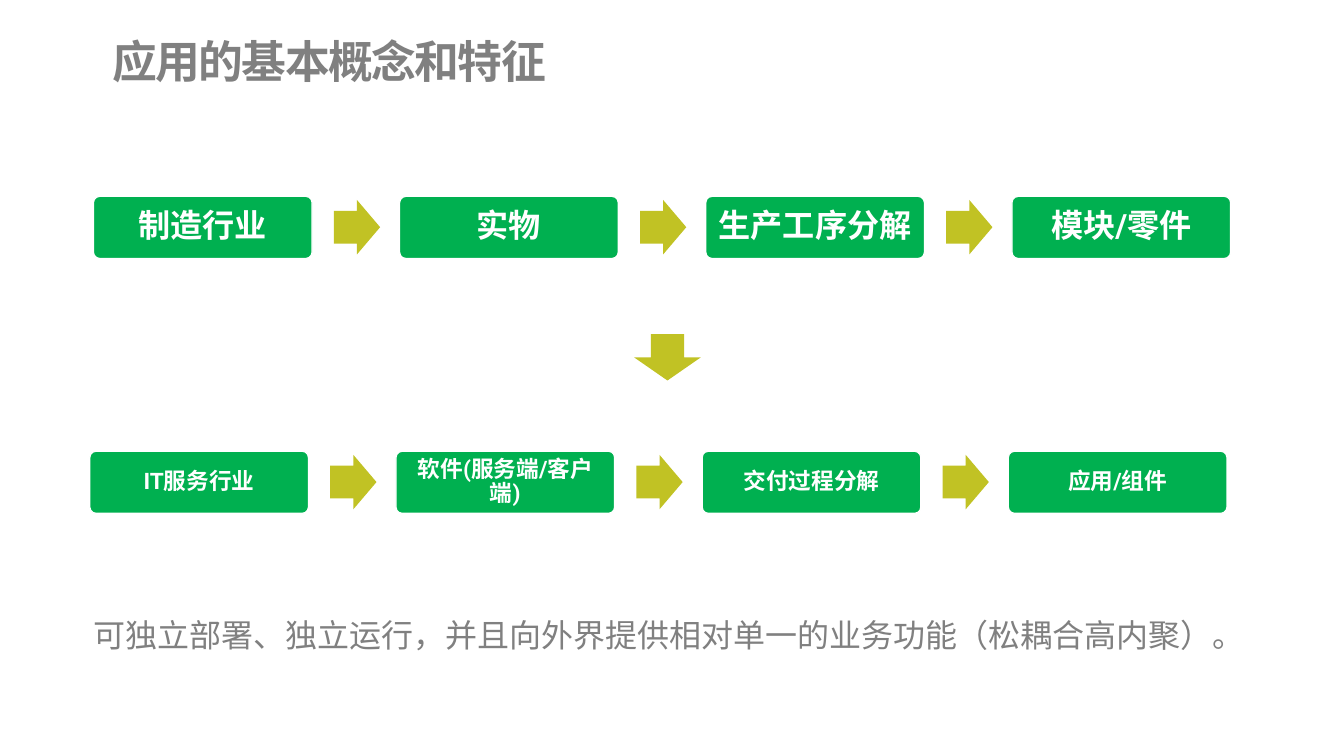
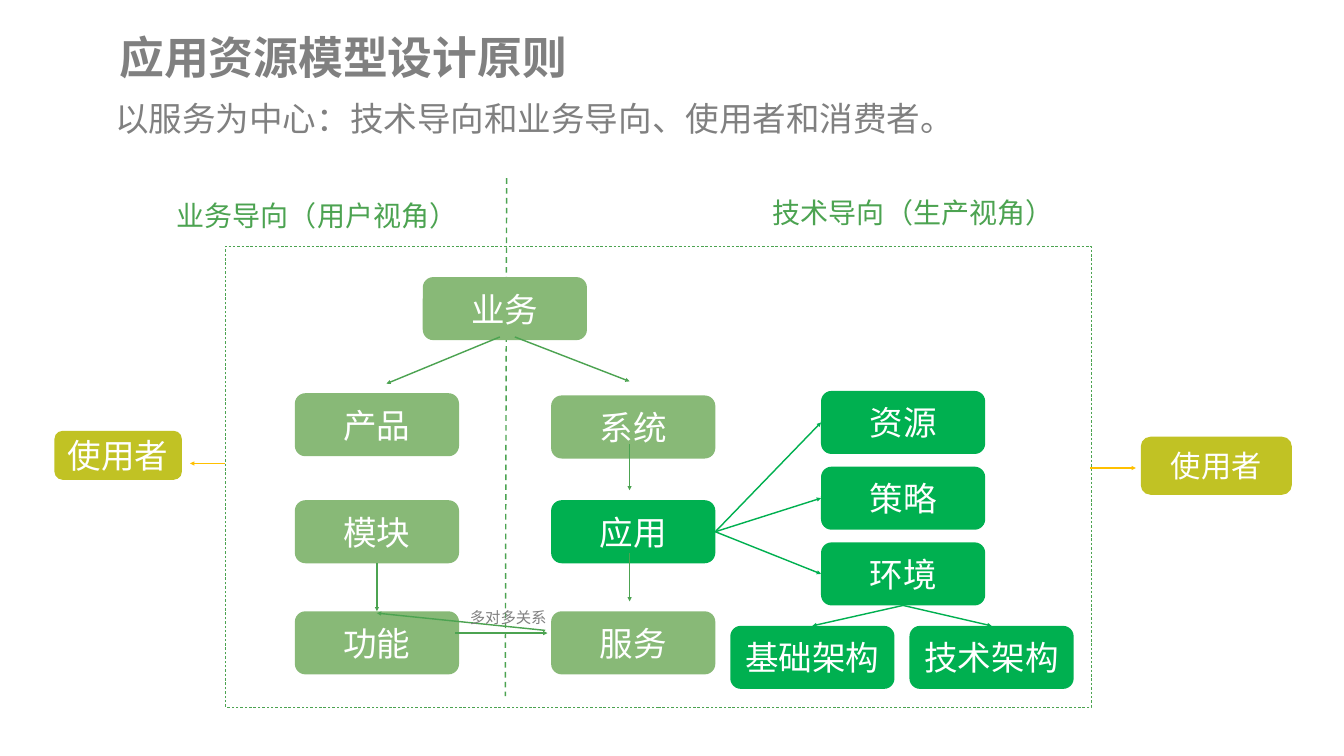
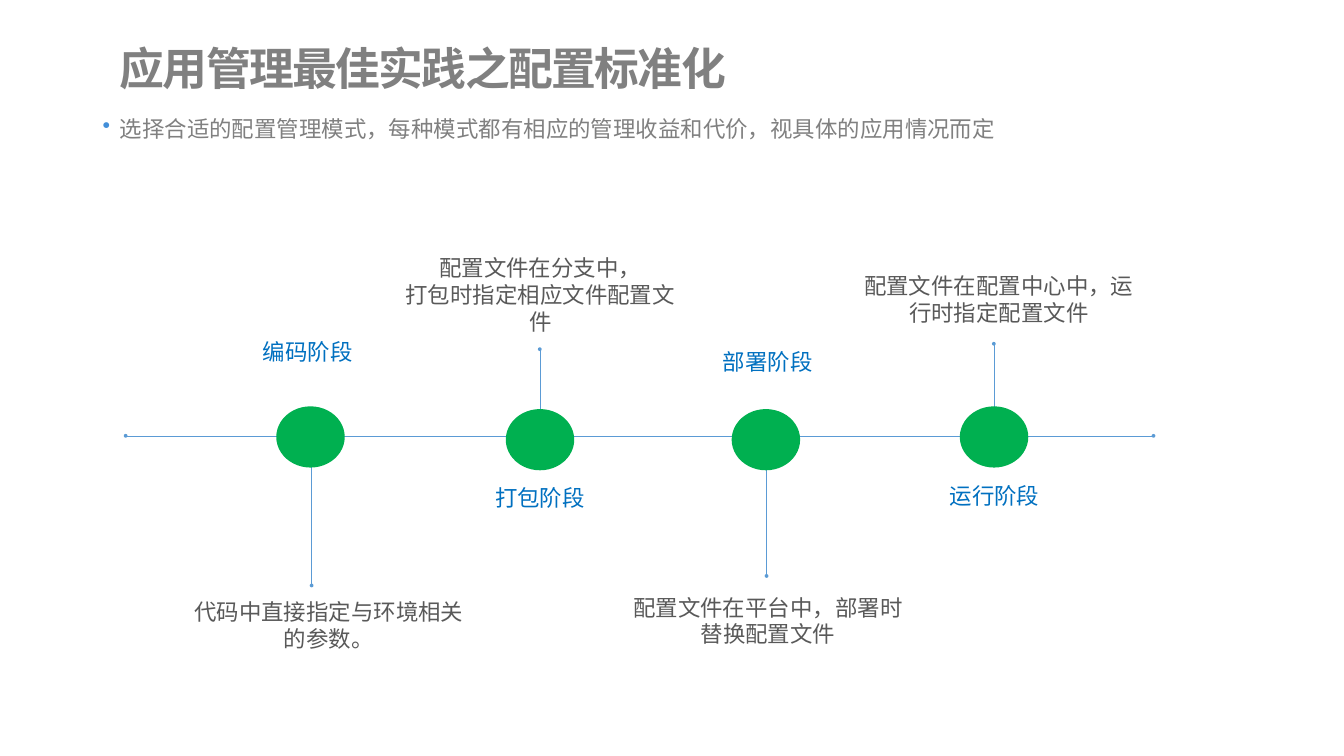
from lxml.etree import SubElement
from pptx import Presentation
from pptx.dml.color import RGBColor
from pptx.enum.dml import MSO_LINE as Dash
from pptx.enum.shapes import MSO_CONNECTOR as Link, MSO_SHAPE as Shape
from pptx.enum.text import MSO_ANCHOR as Anchor, MSO_AUTO_SIZE as Fit, PP_ALIGN as Align
from pptx.oxml.ns import qn
from pptx.util import Inches, Pt

GREEN, SAGE, OLIVE, LEAF = "00B050", "88B977", "C1C224", "4CA351"
GREY, DARK, BLUE, SKY, AMBER, WHITE = "808080", "595959", "0070C0", "5B9BD5", "FFC000", "FFFFFF"
TOP, LEFT, BOTTOM, RIGHT = range(4)


def color(value):
    return RGBColor.from_string(value)


def apply(target, values):
    """Set every attribute named in values on target."""
    for name, value in values.items():
        setattr(target, name, value)


class Deck:
    """Holds the shared style and the slide being filled."""

    font_name = "Noto Sans"

    def __init__(self, width, height):
        self.file = Presentation()
        apply(self.file, {"slide_width": Inches(width), "slide_height": Inches(height)})
        self.page = None

    def new_page(self, title, left, top, width, spacing=None):
        self.page = self.file.slides.add_slide(self.file.slide_layouts[6])
        self.text(title, left, top, width, 1.52, size=71.1, bold=True, align=Align.LEFT,
                  anchor=Anchor.MIDDLE, inset=(0.3, 0.15), spacing=spacing)

    def fill_text(self, box, text, size, ink, bold=False, align=Align.CENTER,
                  anchor=Anchor.MIDDLE, inset=(0.1, 0.05), wrap=True, font=None,
                  line_spacing=None, spacing=None, bullet=None, indent=0):
        """Fill a box with text, one paragraph for each line."""
        frame = box.text_frame
        side, edge = map(Inches, inset)
        apply(frame, {"word_wrap": wrap, "vertical_anchor": anchor, "margin_left": side,
                      "margin_right": side, "margin_top": edge, "margin_bottom": edge})
        for number, line in enumerate(text.split("\n")):
            para = frame.add_paragraph() if number else frame.paragraphs[0]
            apply(para, {"alignment": align, "line_spacing": line_spacing})
            if bullet:
                self.add_bullet(para, bullet, indent)
            span = para.add_run()
            span.text = line
            apply(span.font, {"size": Pt(size), "bold": bold, "name": font or self.font_name})
            span.font.color.rgb = color(ink)
            props = span.font._element
            SubElement(props, qn("a:ea")).set("typeface", font or self.font_name)
            if spacing:
                props.set("spc", str(int(spacing * 100)))

    def add_bullet(self, para, ink, indent):
        props = para._p.get_or_add_pPr()
        props.set("marL", str(Inches(indent)))
        props.set("indent", str(-Inches(indent)))
        SubElement(SubElement(props, qn("a:buClr")), qn("a:srgbClr")).set("val", ink)
        SubElement(props, qn("a:buChar")).set("char", "•")

    def text(self, text, left, top, width, height, size, ink=GREY, align=Align.LEFT,
             anchor=Anchor.TOP, **style):
        box = self.page.shapes.add_textbox(*map(Inches, (left, top, width, height)))
        self.fill_text(box, text, size, ink, align=align, anchor=anchor, **style)
        box.text_frame.auto_size = Fit.SHAPE_TO_FIT_TEXT

    def shape(self, kind, left, top, width, height, fill=None, line=None, line_width=1,
              dash=None, adjust=(), text=None, size=53.3, **style):
        box = self.page.shapes.add_shape(kind, *map(Inches, (left, top, width, height)))
        box.shadow.inherit = False
        for number, value in enumerate(adjust):
            box.adjustments[number] = value
        if fill:
            box.fill.solid()
            box.fill.fore_color.rgb = color(fill)
        else:
            box.fill.background()
        if line:
            box.line.color.rgb = color(line)
            apply(box.line, {"width": Pt(line_width), "dash_style": dash})
        else:
            box.line.fill.background()
        if text:
            self.fill_text(box, text, size, WHITE, **style)
        return box

    def line(self, start, end, ink, width=2.25, dash=None, head=None, tail=None):
        """Draw a line; each end is a point or a pair of box and side."""
        joined = not isinstance(start[0], (int, float))
        points = (0, 0, 0, 0) if joined else (*start, *end)
        link = self.page.shapes.add_connector(Link.STRAIGHT, *map(Inches, points))
        if joined:
            link.begin_connect(*start)
            link.end_connect(*end)
        link.line.color.rgb = color(ink)
        apply(link.line, {"width": Pt(width), "dash_style": dash})
        outline = link.line._get_or_add_ln()
        for tag, kind in (("a:headEnd", head), ("a:tailEnd", tail)):
            if kind:
                SubElement(outline, qn(tag)).set("type", kind)
        SubElement(link._element.spPr, qn("a:effectLst"))

    def arrow(self, start, end, ink=LEAF):
        self.line(start, end, ink, tail="triangle")

    def process_row(self, steps, left, top, size, inset):
        """Draw equal boxes with a block arrow in each gap."""
        pitch = 6.75
        for number, step in enumerate(steps):
            x = left + number * pitch
            if number:
                self.shape(Shape.RIGHT_ARROW, x - 1.45, top + 0.08, 1.02, 1.2, OLIVE,
                           adjust=(0.6, 0.5))
            self.shape(Shape.ROUNDED_RECTANGLE, x, top, 4.82, 1.37, GREEN, WHITE, 2,
                       adjust=(0.1,), text=step, size=size, bold=True, font="Roboto",
                       inset=(inset, inset), line_spacing=0.9)

    def node(self, text, left, top, fill, width=3.62, height=1.39, size=53.3):
        return self.shape(Shape.ROUNDED_RECTANGLE, left, top, width, height, fill,
                          text=text, size=size)


def concept_page(deck):
    deck.new_page("应用的基本概念和特征", 2.18, 0.58, 11.03, spacing=-2.5)
    deck.process_row(["制造行业", "实物", "生产工序分解", "模块/零件"], 2.06, 4.33, 51, 0.21)
    deck.process_row(["IT服务行业", "软件(服务端/客户端)", "交付过程分解", "应用/组件"],
                     1.98, 9.95, 36, 0.15)
    deck.text("可独立部署、独立运行，并且向外界提供相对单一的业务功能（松耦合高内聚）。",
              1.97, 13.53, 26.47, 0.97, size=50.8)
    deck.shape(Shape.DOWN_ARROW, 13.98, 7.37, 1.47, 1.02, OLIVE)


def model_page(deck):
    deck.new_page("应用资源模型设计原则", 2.33, 0.49, 11.38)
    deck.text("以服务为中心：技术导向和业务导向、使用者和消费者。", 2.44, 2.1, 27.19, 1.01, size=53.3)
    deck.shape(Shape.RECTANGLE, 4.97, 5.43, 19.09, 10.16, line=LEAF, dash=Dash.DASH)
    deck.line((11.17, 3.93), (11.14, 15.35), LEAF, dash=Dash.DASH)
    for label, left, top in (("业务导向（用户视角）", 3.8, 4.32), ("技术导向（生产视角）", 16.94, 4.27)):
        deck.text(label, left, top, 6.55, 0.86, size=44.5, ink=LEAF, wrap=False)

    product_x, system_x, resource_x = 6.5, 12.15, 18.1
    nodes = {label: deck.node(label, left, top, fill) for label, left, top, fill in (
        ("业务", 9.32, 6.11, SAGE),
        ("产品", product_x, 8.67, SAGE),
        ("模块", product_x, 11.03, SAGE),
        ("功能", product_x, 13.48, SAGE),
        ("系统", system_x, 8.72, SAGE),
        ("应用", system_x, 11.03, GREEN),
        ("服务", system_x, 13.48, SAGE),
        ("资源", resource_x, 8.62, GREEN),
        ("策略", resource_x, 10.29, GREEN),
        ("环境", resource_x, 11.96, GREEN),
        ("基础架构", 16.1, 13.8, GREEN),
        ("技术架构", 20.05, 13.8, GREEN),
    )}
    deck.node("使用者", 1.2, 9.5, OLIVE, 2.81, 1.08)
    deck.node("使用者", 25.15, 9.63, OLIVE, 3.33, 1.28, size=48)

    for start, end in (
        ((11.02, 7.43), (8.52, 8.46)),
        ((11.35, 7.43), (13.88, 8.41)),
        ((13.88, 9.8), (13.88, 10.81)),
        ((13.88, 12.2), (13.88, 13.26)),
        ((10.04, 13.96), (12.07, 13.96)),
        ((12.02, 13.9), (8.31, 13.52)),
    ):
        deck.arrow(start, end)
    for source, source_side, target, target_side, ink in (
        ("模块", BOTTOM, "功能", TOP, LEAF),
        ("应用", RIGHT, "资源", LEFT, GREEN),
        ("应用", RIGHT, "策略", LEFT, GREEN),
        ("应用", RIGHT, "环境", LEFT, GREEN),
        ("环境", BOTTOM, "基础架构", TOP, GREEN),
        ("环境", BOTTOM, "技术架构", TOP, GREEN),
    ):
        deck.arrow((nodes[source], source_side), (nodes[target], target_side), ink)
    deck.arrow((24.04, 10.32), (25.04, 10.32), AMBER)
    deck.arrow((4.97, 10.22), (4.19, 10.22), AMBER)
    deck.text("多对多关系", 10.26, 13.35, 1.95, 0.52, size=24.4, wrap=False)


def timeline_page(deck):
    deck.new_page("应用管理最佳实践之配置标准化", 2.34, 0.72, 14.16, spacing=-2.5)
    deck.text("选择合适的配置管理模式，每种模式都有相应的管理收益和代价，视具体的应用情况而定",
              2.14, 2.18, 27.64, 0.99, size=35.6, anchor=Anchor.MIDDLE, inset=(0.12, 0.12),
              line_spacing=1.5, bullet="438FD9", indent=0.38)

    def dotted_line(start, end):
        """Draw a thin line with a dot at each end."""
        deck.line(start, end, SKY, width=0.5, head="oval", tail="oval")

    dotted_line((2.77, 9.61), (25.43, 9.61))
    for stage, stage_at, detail, detail_at, stem, dot_at in (
        ("编码阶段", (5.69, 7.4), "代码中直接指定与环境相关的参数。",
         (3.99, 13.14), (6.87, 10.1, 12.91), (6.09, 8.96)),
        ("打包阶段", (10.81, 10.63), "配置文件在分支中，\n打包时指定相应文件配置文件",
         (8.65, 5.56), (11.9, 7.7, 10.22), (11.15, 9.02)),
        ("部署阶段", (15.83, 7.62), "配置文件在平台中，部署时替换配置文件",
         (13.67, 13.04), (16.9, 10.1, 12.7), (16.13, 9.02)),
        ("运行阶段", (20.83, 10.59), "配置文件在配置中心中，运行时指定配置文件",
         (18.76, 5.96), (21.91, 7.58, 10.11), (21.16, 8.96)),
    ):
        x, top, bottom = stem
        dotted_line((x, top), (x, bottom))
        deck.shape(Shape.OVAL, *dot_at, 1.51, 1.35, GREEN)
        deck.text(stage, *stage_at, 2.19, 0.7, size=35.6, ink=BLUE, align=Align.CENTER, wrap=False)
        height = 1.9 if "\n" in detail else 1.3
        deck.text(detail, *detail_at, 6.52, height, size=35.6, ink=DARK, align=Align.CENTER)


def main():
    deck = Deck(29.63, 16.67)
    concept_page(deck)
    model_page(deck)
    timeline_page(deck)
    deck.file.save("out.pptx")


if __name__ == "__main__":
    main()
